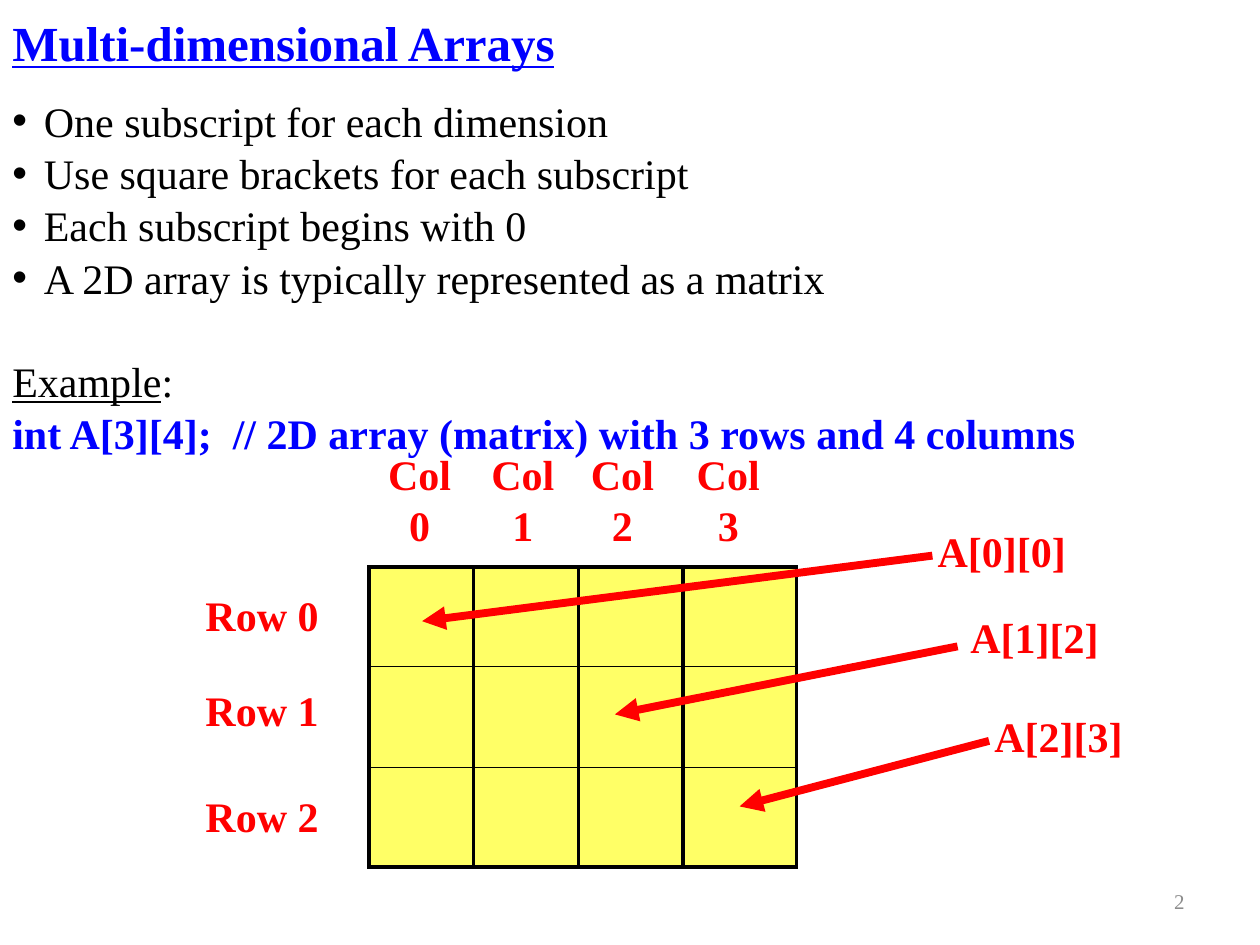
from dataclasses import dataclass

from lxml.etree import SubElement
from pptx import Presentation
from pptx.dml.color import RGBColor as Rgb
from pptx.enum.shapes import MSO_CONNECTOR as Connector
from pptx.enum.text import MSO_ANCHOR as Anchor, MSO_AUTO_SIZE as AutoSize, PP_ALIGN as Align
from pptx.oxml.ns import qn
from pptx.util import Inches, Pt


@dataclass(frozen=True)
class Theme:
    """Colours, font and type sizes of the slide."""
    font: str = "Times New Roman"
    heading: str = "0000FF"
    ink: str = "000000"
    accent: str = "FF0000"
    cell: str = "FFFF66"
    muted: str = "8C8C8C"
    title_size: float = 28
    body_size: float = 24
    number_size: float = 12
    thick: float = 2.25
    thin: float = 1
    arrow: float = 4.5


THEME = Theme()


def add_child(parent, tag, **attributes):
    """Append a DrawingML element and return it."""
    return SubElement(parent, qn(tag), {key: str(value) for key, value in attributes.items()})


def format_run(run, size=THEME.body_size, color=THEME.ink, bold=False, underline=False):
    """Apply the character format to one run."""
    run.font.name = THEME.font
    run.font.size = Pt(size)
    run.font.color.rgb = Rgb.from_string(color)
    run.font.bold = bold
    run.font.underline = underline


def format_paragraph(paragraph, align=Align.LEFT, hanging=0, spacing=None, before=None,
                     bullet=False, tab=None):
    """Apply alignment, indents, spacing, bullet and tab stop to one paragraph."""
    paragraph.alignment = align
    paragraph.line_spacing = spacing
    if before is not None:
        paragraph.space_before = Pt(before)
    properties = paragraph._p.get_or_add_pPr()
    if hanging:
        properties.set("marL", str(Inches(hanging)))
        properties.set("indent", str(-Inches(hanging)))
    if bullet:
        add_child(properties, "a:buFont", typeface="Arial")
        add_child(properties, "a:buChar", char="•")
    if tab:
        stops = add_child(properties, "a:tabLst")
        add_child(stops, "a:tab", pos=Inches(tab), algn="l")


def add_text(slide, box, paragraphs, anchor=Anchor.TOP, wrap=True, grow=False, layout=None, **font):
    """Add a text box of (runs, layout) paragraphs sharing one format."""
    frame = slide.shapes.add_textbox(*map(Inches, box)).text_frame
    frame.word_wrap = wrap
    frame.vertical_anchor = anchor
    frame.auto_size = AutoSize.SHAPE_TO_FIT_TEXT if grow else AutoSize.NONE
    for index, (runs, own_layout) in enumerate(paragraphs):
        paragraph = frame.add_paragraph() if index else frame.paragraphs[0]
        format_paragraph(paragraph, **{**(layout or {}), **own_layout})
        for text, own_font in runs:
            run = paragraph.add_run()
            run.text = text
            format_run(run, **{**font, **own_font})


def plain(*lines, **layout):
    """Turn lines into paragraphs of one run each."""
    return [([(line, {})], layout) for line in lines]


def add_label(slide, box, *lines):
    """Add a red matrix label."""
    layout = dict(align=Align.CENTER, hanging=0.38, spacing=0.8, before=5.76)
    add_text(slide, box, plain(*lines), wrap=False, grow=True, layout=layout,
             color=THEME.accent, bold=True)


def add_border(cell, side, width):
    """Draw one side of a cell."""
    line = add_child(cell._tc.get_or_add_tcPr(), f"a:ln{side}", w=Pt(width))
    add_child(add_child(line, "a:solidFill"), "a:srgbClr", val=THEME.ink)


def add_matrix(slide, box, widths, heights):
    """Add the empty yellow matrix."""
    matrix = slide.shapes.add_table(len(heights), len(widths), *map(Inches, box)).table
    matrix.first_row = matrix.horz_banding = False
    for column, width in zip(matrix.columns, widths):
        column.width = Inches(width)
    last = len(heights) - 1
    for index, (row, height) in enumerate(zip(matrix.rows, heights)):
        row.height = Inches(height)
        top = THEME.thin if index else THEME.thick
        bottom = THEME.thick if index == last else THEME.thin
        for cell in row.cells:
            for side, width in zip("LRTB", (THEME.thick, THEME.thick, top, bottom)):
                add_border(cell, side, width)
            cell.fill.solid()
            cell.fill.fore_color.rgb = Rgb.from_string(THEME.cell)


def add_arrow(slide, start, end):
    """Add a red arrow from a label to its cell."""
    arrow = slide.shapes.add_connector(Connector.STRAIGHT, *map(Inches, start + end))
    arrow.line.color.rgb = Rgb.from_string(THEME.accent)
    arrow.line.width = Pt(THEME.arrow)
    add_child(arrow.line._get_or_add_ln(), "a:tailEnd", type="triangle")
    add_child(arrow._element.spPr, "a:effectLst")


def main():
    """Build and save the slide."""
    deck = Presentation()
    deck.slide_width, deck.slide_height = Inches(10), Inches(7.5)
    slide = deck.slides.add_slide(deck.slide_layouts[6])

    add_text(slide, (0, 0, 8.5, 0.67), plain("Multi-dimensional Arrays"), anchor=Anchor.MIDDLE,
             size=THEME.title_size, color=THEME.heading, bold=True, underline=True)

    points = plain("One subscript for each dimension", "Use square brackets for each subscript",
                   "Each subscript begins with 0", "A 2D array is typically represented as a matrix",
                   bullet=True)
    example = ([("Example", {"underline": True}), (":", {})], {"before": 28.8})
    code = ([("int A[3][4];\t// 2D array (matrix) with 3 rows and 4 columns",
              {"color": THEME.heading, "bold": True})], {})
    add_text(slide, (0, 0.69, 10, 2.9), points + [example, code], grow=True,
             layout=dict(hanging=0.25, spacing=1.04, tab=0.51, before=0))

    add_matrix(slide, (2.93, 4.5, 3.39, 2.38), (0.83, 0.83, 0.83, 0.9), (0.79, 0.8, 0.79))
    for column, left in enumerate((2.98, 3.8, 4.59, 5.43)):
        add_label(slide, (left, 3.59, 0.7, 0.82), "Col", str(column))
    for row, top in enumerate((4.71, 5.46, 6.3)):
        add_label(slide, (1.53, top, 1.1, 0.42), f"Row {row}")

    references = (
        ("A[0][0]", (7.34, 4.2), (7.4, 4.41), (3.35, 4.93)),
        ("A[1][2]", (7.6, 4.88), (7.6, 5.13), (4.88, 5.67)),
        ("A[2][3]", (7.79, 5.67), (7.85, 5.88), (5.87, 6.4)),
    )
    for element, corner, start, end in references:
        add_arrow(slide, start, end)
        add_label(slide, corner + (1.22, 0.42), element)

    add_text(slide, (7.17, 6.95, 2.33, 0.4), plain("2", align=Align.RIGHT), anchor=Anchor.MIDDLE,
             size=THEME.number_size, color=THEME.muted)
    deck.save("out.pptx")


if __name__ == "__main__":
    main()
